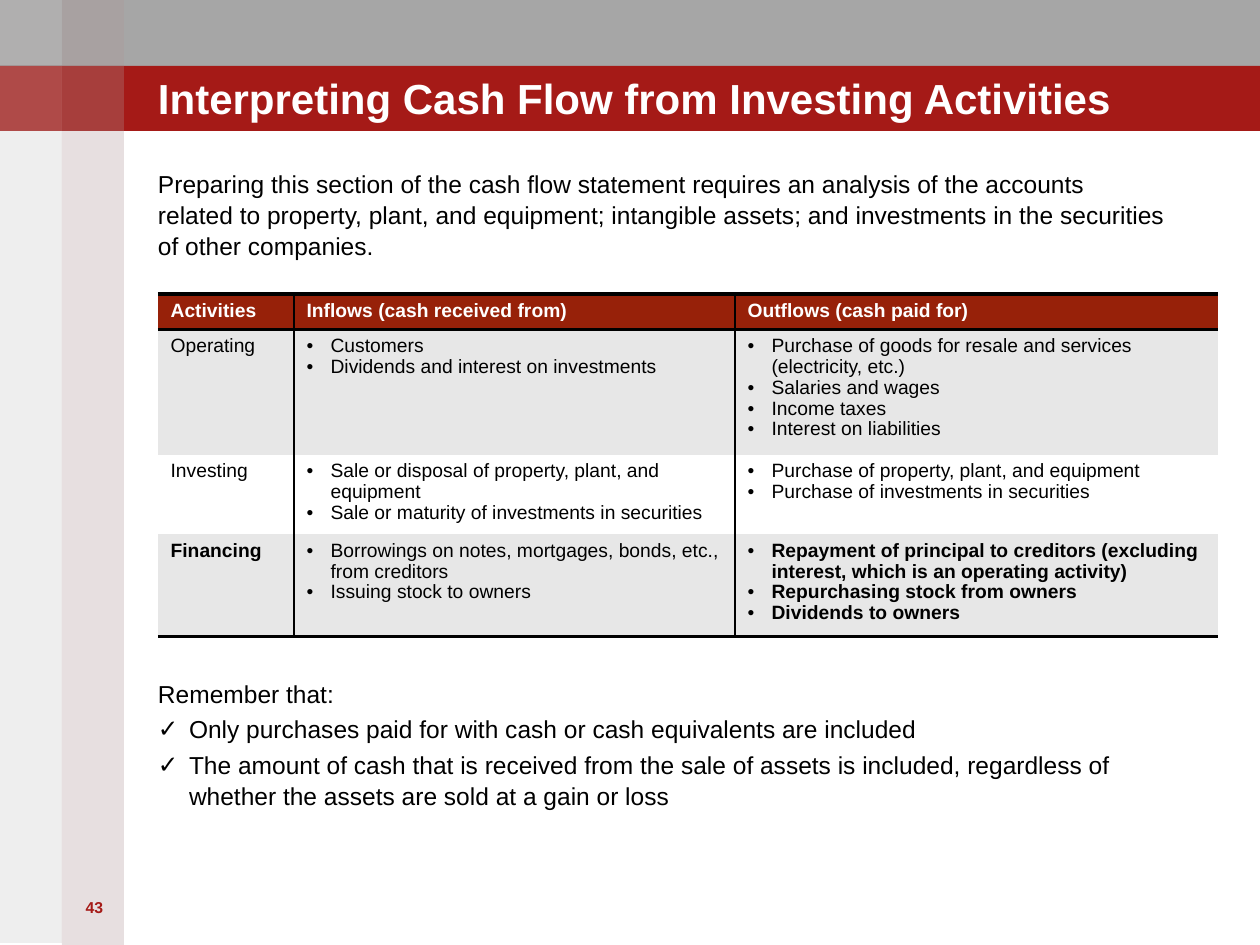
import pptx
import pptx.util
import pptx.dml.color
import pptx.enum.shapes
import pptx.enum.text
import pptx.oxml.ns
from lxml import etree

EMU_PER_PX = 914400 / 126
GRAY, RED, WHITE, BLACK = "A6A6A6", "A51A17", "FFFFFF", "000000"
HEADER_FILL, BAND_FILL = "972109", "E7E7E7"
NO_STYLE = "{2D5ABB26-0587-4C30-8999-92F81FD0307C}"

# left, top, width, height, colour, opacity in percent
BANDS = [
    (0, 0, 1260, 66, GRAY, 100),
    (0, 66, 1260, 65, RED, 100),
    (62, 0, 62, 945, "A08284", 25),
    (0, 0, 62, 943, "938F8F", 15),
] + [(x, y, 62, 65, WHITE, a) for y in (0, 66) for x, a in ((62, 5), (0, 15))]

HEADERS = ["Activities", "Inflows (cash received from)", "Outflows (cash paid for)"]
ACTIVITIES = [
    ("Operating",
     ["Customers", "Dividends and interest on investments"],
     ["Purchase of goods for resale and services (electricity, etc.)",
      "Salaries and wages", "Income taxes", "Interest on liabilities"]),
    ("Investing",
     ["Sale or disposal of property, plant, and equipment",
      "Sale or maturity of investments in securities"],
     ["Purchase of property, plant, and equipment",
      "Purchase of investments in securities"]),
    ("Financing",
     ["Borrowings on notes, mortgages, bonds, etc., from creditors",
      "Issuing stock to owners"],
     ["Repayment of principal to creditors (excluding interest, "
      "which is an operating activity)",
      "Repurchasing stock from owners", "Dividends to owners"]),
]
BOLD_CELLS = {(3, 0), (3, 2)}

INTRO = ("Preparing this section of the cash flow statement requires an analysis of "
         "the accounts related to property, plant, and equipment; intangible assets; "
         "and investments in the securities of other companies.")
REMINDERS = [
    "Only purchases paid for with cash or cash equivalents are included",
    "The amount of cash that is received from the sale of assets is included, "
    "regardless of whether the assets are sold at a gain or loss",
]


def px(n):
    return pptx.util.Emu(round(n * EMU_PER_PX))


def rgb(value):
    return pptx.dml.color.RGBColor.from_string(value)


def sub(parent, tag, **attrs):
    """Append an XML child such as a:ln to parent."""
    el = etree.SubElement(parent, pptx.oxml.ns.qn(tag))
    for name, value in attrs.items():
        el.set(name, str(value))
    return el


def set_font(p, size, color=BLACK, bold=False):
    p.font.name = "Arial"
    p.font.size = pptx.util.Pt(size)
    p.font.bold = bold
    p.font.color.rgb = rgb(color)


def set_bullet(p, char=None, indent=0):
    """Give the paragraph a hanging bullet, or none."""
    pPr = p._p.get_or_add_pPr()
    pPr.set("marL", str(px(indent)))
    pPr.set("indent", str(-px(indent)))
    if char:
        sub(pPr, "a:buFont", typeface="Arial")
        sub(pPr, "a:buChar", char=char)
    else:
        sub(pPr, "a:buNone")


def next_paragraph(tf, index):
    return tf.add_paragraph() if index else tf.paragraphs[0]


def place(sp, left, top, width, height):
    sp.left, sp.top, sp.width, sp.height = map(px, (left, top, width, height))


def clear_insets(tf):
    tf.margin_left = tf.margin_right = tf.margin_top = tf.margin_bottom = 0
    tf.auto_size = pptx.enum.text.MSO_AUTO_SIZE.NONE
    tf.word_wrap = True


def add_band(s, left, top, width, height, color, opacity):
    sp = s.shapes.add_shape(pptx.enum.shapes.MSO_SHAPE.RECTANGLE,
                            *map(px, (left, top, width, height)))
    sp.shadow.inherit = False
    sp.line.fill.background()
    sp.fill.solid()
    sp.fill.fore_color.rgb = rgb(color)
    if opacity < 100:
        clr = sp._element.spPr.find(".//" + pptx.oxml.ns.qn("a:srgbClr"))
        sub(clr, "a:alpha", val=opacity * 1000)


def fill_title(sp):
    place(sp, 158, 39, 1040, 84)
    tf = sp.text_frame
    clear_insets(tf)
    tf.vertical_anchor = pptx.enum.text.MSO_ANCHOR.BOTTOM
    tf.text = "Interpreting Cash Flow from Investing Activities"
    p = tf.paragraphs[0]
    p.alignment = pptx.enum.text.PP_ALIGN.LEFT
    set_font(p, 24, WHITE, True)


def fill_body(sp):
    place(sp, 158, 168, 1008, 756)
    tf = sp.text_frame
    clear_insets(tf)
    items = [(INTRO, None, 0), ("Remember that:", None, 238)]
    items += [(text, "✓", 2.8) for text in REMINDERS]
    for i, (text, bullet, space) in enumerate(items):
        p = next_paragraph(tf, i)
        p.text = text
        p.line_spacing = 1.05
        p.space_before = pptx.util.Pt(space)
        set_bullet(p, bullet, 31 if bullet else 0)
        set_font(p, 14)


def add_slide_number(s):
    tf = s.shapes.add_textbox(px(63), px(892), px(63), px(70)).text_frame
    tf.word_wrap = True
    p = tf.paragraphs[0]
    p.text = "43"
    p.alignment = pptx.enum.text.PP_ALIGN.CENTER
    set_font(p, 9, RED, True)


def set_borders(cell, widths):
    """Draw the sides in widths (L, R, T, B to points)."""
    tcPr = cell._tc.get_or_add_tcPr()
    for side in "LRTB":
        if side in widths:
            ln = sub(tcPr, "a:ln" + side, w=pptx.util.Pt(widths[side]))
            sub(sub(ln, "a:solidFill"), "a:srgbClr", val=BLACK)


def fill_cell(cell, content, fill, color, bold, spacing):
    """Write a string as plain text, or a list as bullets."""
    bulleted = isinstance(content, list)
    for i, text in enumerate(content if bulleted else [content]):
        p = next_paragraph(cell.text_frame, i)
        p.text = text
        p.line_spacing = spacing
        if bulleted:
            set_bullet(p, "•", 24)
        set_font(p, 11, color, bold)
    cell.fill.solid()
    cell.fill.fore_color.rgb = rgb(fill)


def add_activity_table(s):
    rows = [HEADERS] + ACTIVITIES
    widths, heights = (136, 441, 483), (35, 120, 77, 98)
    frame = s.shapes.add_table(len(rows), len(widths), px(158), px(294),
                               px(sum(widths)), px(sum(heights)))
    table = frame.table
    table._tbl.tblPr[0].text = NO_STYLE
    for column, width in zip(table.columns, widths):
        column.width = px(width)
    for r, (row, height) in enumerate(zip(rows, heights)):
        table.rows[r].height = px(height)
        header = r == 0
        for c, content in enumerate(row):
            sides = {}
            if c > 0:
                sides["L"] = 1
            if c < len(widths) - 1:
                sides["R"] = 1
            if header:
                sides["T"] = 2
            if header or r == len(rows) - 1:
                sides["B"] = 2
            cell = table.cell(r, c)
            set_borders(cell, sides)
            fill = HEADER_FILL if header else BAND_FILL if r % 2 else WHITE
            fill_cell(cell, content, fill, WHITE if header else BLACK,
                      header or (r, c) in BOLD_CELLS, 1.0 if header else 0.97)


def main():
    prs = pptx.Presentation()
    prs.slide_width, prs.slide_height = px(1260), px(945)
    s = prs.slides.add_slide(prs.slide_layouts[1])
    title, body = s.shapes.title, s.placeholders[1]
    for band in BANDS:
        add_band(s, *band)
    for sp in (title, body):  # bring the text in front of the bands
        s.shapes._spTree.append(sp._element)
    fill_title(title)
    fill_body(body)
    add_slide_number(s)
    add_activity_table(s)
    prs.save("out.pptx")


if __name__ == "__main__":
    main()
